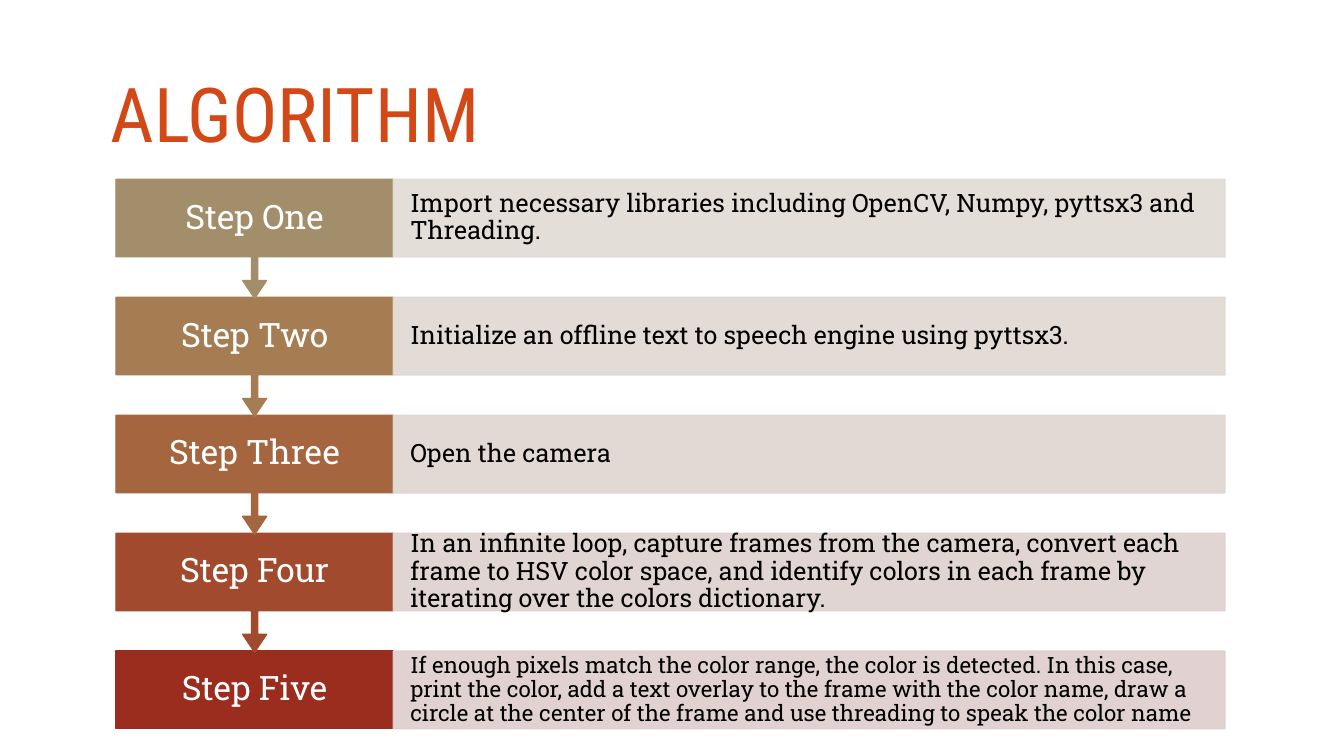
from lxml.etree import SubElement as Sub
from pptx import Presentation as Deck
from pptx.dml.color import RGBColor as Rgb
from pptx.enum.shapes import MSO_SHAPE as Kind
from pptx.enum.text import MSO_ANCHOR as Anchor, PP_ALIGN as Align
from pptx.oxml.ns import qn
from pptx.util import Pt

PX = 9144
LEFT, TOP, PITCH = 115, 178, 117
HEAD, BODY, HIGH, TALL = 275, 825, 77, 118
INK = {"title": "D34817", "head": "FFFFFF", "body": "000000"}
STEPS = [
    ("Step One", "A28E6A", "E0DBD4", 18,
     "Import necessary libraries including OpenCV, Numpy, pyttsx3 and Threading."),
    ("Step Two", "A67D52", "DFD8D2", 18,
     "Initialize an offline text to speech engine using pyttsx3."),
    ("Step Three", "A4653F", "DFD5D1", 18, "Open the camera"),
    ("Step Four", "A14A2E", "DED1CF", 18,
     "In an infinite loop, capture frames from the camera, convert each frame to HSV "
     "color space, and identify colors in each frame by iterating over the colors dictionary."),
    ("Step Five", "9B2D1F", "DECDCD", 16,
     "If enough pixels match the color range, the color is detected. In this case, print "
     "the color, add a text overlay to the frame with the color name, draw a circle at the "
     "center of the frame and use threading to speak the color name"),
]


def scale(*nums):
    return [num * PX for num in nums]


def add_block(slide, kind, area, tint, alpha=None):
    block = slide.shapes.add_shape(kind, *scale(*area))
    block.shadow.inherit = False
    block.fill.solid()
    block.line.width = Pt(1)
    for fill in (block.fill, block.line.fill):
        fill.solid()
        fill.fore_color.rgb = Rgb.from_string(tint)
    if alpha:
        for node in list(block.element.spPr.iter(qn("a:srgbClr"))):
            Sub(node, qn("a:alpha"), val=str(alpha * 1000))
    return block


def set_text(shape, text, size, ink, face="Roboto Slab", align=Align.LEFT, side=10):
    frame = shape.text_frame
    frame.word_wrap = True
    frame.vertical_anchor = Anchor.MIDDLE
    frame.margin_left = frame.margin_right = side * PX
    frame.margin_top = frame.margin_bottom = 0
    para = frame.paragraphs[0]
    para.alignment = align
    para.line_spacing = 0.9
    run = para.add_run()
    run.text = text
    run.font.name = face
    run.font.size = Pt(size)
    run.font.color.rgb = Rgb.from_string(INK[ink])


def add_text(slide, area, *args, **opts):
    set_text(slide.shapes.add_textbox(*scale(*area)), *args, **opts)


def add_step(slide, row, last):
    name, dark, pale, size, text = STEPS[row]
    top = TOP + row * PITCH
    if last:
        add_block(slide, Kind.RECTANGLE, (LEFT, top, HEAD, HIGH), dark)
    else:
        call = add_block(slide, Kind.UP_ARROW_CALLOUT, (LEFT, top, HEAD, TALL), dark)
        call.rotation = 180
        for spot, part in enumerate((0.05, 0.1, 0.15, 0.65)):
            call.adjustments[spot] = part
    add_text(slide, (LEFT, top, HEAD, HIGH), name, 24, "head", align=Align.CENTER, side=20)
    bar = add_block(slide, Kind.RECTANGLE, (LEFT + HEAD, top, BODY, HIGH), pale, 90)
    set_text(bar, text, size, "body", side=17)


def main():
    deck = Deck()
    deck.slide_width, deck.slide_height = scale(1333, 750)
    slide = deck.slides.add_slide(deck.slide_layouts[6])
    add_text(slide, (100, 29, 1100, 176), "ALGORITHM", 54, "title", "Roboto Condensed")
    for row in reversed(range(len(STEPS))):
        add_step(slide, row, row == len(STEPS) - 1)
    deck.save("out.pptx")


if __name__ == "__main__":
    main()
